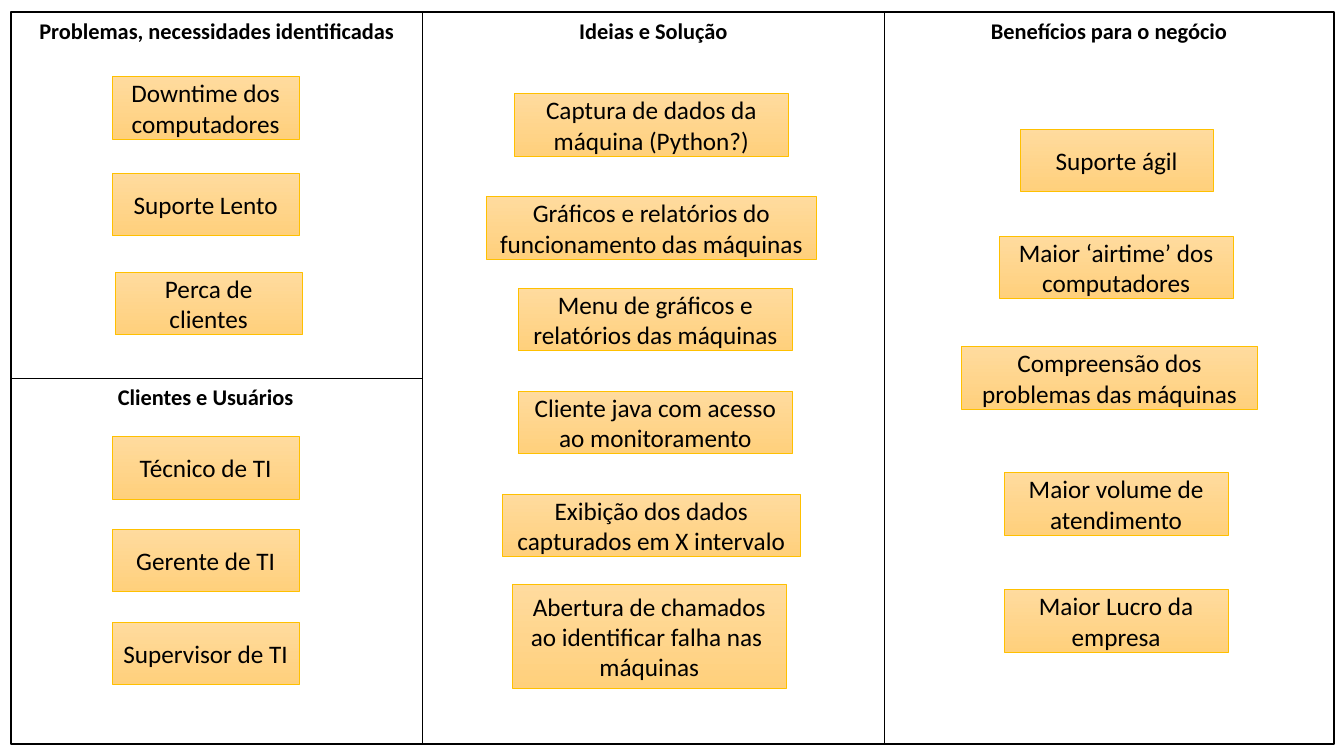
from lxml import etree
from pptx import Presentation
from pptx.dml.color import RGBColor
from pptx.enum import shapes, text
from pptx.oxml import ns
from pptx.util import Inches, Pt

COLOURS = {"ink": "000000", "paper": "FFFFFF", "note_top": "FFDB9E",
           "note_bottom": "FFD07C", "note_edge": "FFC000"}
FONT = "Calibri"
HEADING_WIDTH, HEADING_HEIGHT = 4.08, 0.37
NOTE_HEIGHT = 0.62

# Canvas grid
LEFT, TOP, RIGHT, BOTTOM = 0.11, 0.12, 13.23, 7.38
IDEAS_X, BENEFITS_X, CLIENTS_Y = 4.19, 8.77, 3.75


def colour(name):
    return RGBColor.from_string(COLOURS[name])


def write(frame, wording, size, bold=False):
    frame.word_wrap = True
    frame.text = wording
    for paragraph in frame.paragraphs:
        paragraph.alignment = text.PP_ALIGN.CENTER
        font = paragraph.font
        font.name, font.size, font.bold = FONT, Pt(size), bold
        font.color.rgb = colour("ink")


def add_rectangle(slide, left, top, width, height, edge, edge_width):
    rectangle = slide.shapes.add_shape(
        shapes.MSO_SHAPE.RECTANGLE, *map(Inches, (left, top, width, height)))
    rectangle.shadow.inherit = False
    rectangle.line.color.rgb = colour(edge)
    rectangle.line.width = Pt(edge_width)
    return rectangle


def add_divider(slide, *ends):
    divider = slide.shapes.add_connector(
        shapes.MSO_CONNECTOR.STRAIGHT, *map(Inches, ends))
    divider.line.color.rgb = colour("ink")
    divider.line.width = Pt(0.5)
    etree.SubElement(divider._element.spPr, ns.qn("a:effectLst"))


def add_frame(slide, left, top, right, bottom):
    border = add_rectangle(slide, left, top, right - left, bottom - top, "ink", 1)
    border.fill.solid()
    border.fill.fore_color.rgb = colour("paper")
    for x in (IDEAS_X, BENEFITS_X):
        add_divider(slide, x, top, x, bottom)
    add_divider(slide, left, CLIENTS_Y, IDEAS_X, CLIENTS_Y)


def add_note(slide, wording, left, top, width, height=NOTE_HEIGHT):
    note = add_rectangle(slide, left, top, width, height, "note_edge", 0.5)
    note.fill.gradient()
    note.fill.gradient_angle = 270
    for stop, name in zip(note.fill.gradient_stops, ("note_top", "note_bottom")):
        stop.color.rgb = colour(name)
    note.text_frame.vertical_anchor = text.MSO_ANCHOR.MIDDLE
    write(note.text_frame, wording, 18)


def add_panel(slide, left, top, width, title, notes, title_shift=0):
    """Heading across the panel top; notes are offset from its corner."""
    title_left = left + (width - HEADING_WIDTH) / 2 + title_shift
    heading = slide.shapes.add_textbox(
        *map(Inches, (title_left, top, HEADING_WIDTH, HEADING_HEIGHT)))
    write(heading.text_frame, title, 16, bold=True)
    heading.text_frame.auto_size = text.MSO_AUTO_SIZE.SHAPE_TO_FIT_TEXT
    for wording, x, y, *size in notes:
        add_note(slide, wording, left + x, top + y, *size)


# Notes: wording, x, y, width and, where taller, height
PROBLEMS = [
    ("Downtime dos computadores", 1, 0.64, 1.86),
    ("Suporte Lento", 1, 1.6, 1.86),
    ("Perca de clientes", 1.03, 2.58, 1.86),
]
CLIENTS = [
    (role, 1, 0.58 + 0.92 * row, 1.86)
    for row, role in enumerate(("Técnico de TI", "Gerente de TI", "Supervisor de TI"))
]
IDEAS = [
    ("Captura de dados da máquina (Python?)", 0.91, 0.81, 2.72),
    ("Gráficos e relatórios do funcionamento das máquinas", 0.63, 1.83, 3.28),
    ("Menu de gráficos e relatórios das máquinas", 0.95, 2.74, 2.72),
    ("Cliente java com acesso ao monitoramento", 0.95, 3.76, 2.72),
    ("Exibição dos dados capturados em X intervalo", 0.79, 4.78, 2.96),
    ("Abertura de chamados ao identificar falha nas \nmáquinas", 0.89, 5.68, 2.72, 1.03),
]
BENEFITS = [
    ("Suporte ágil", 1.35, 1.16, 1.91),
    ("Maior ‘airtime’ dos computadores", 1.14, 2.22, 2.32),
    ("Compreensão dos problemas das máquinas", 0.77, 3.32, 2.93),
    ("Maior volume de atendimento", 1.19, 4.57, 2.22),
    ("Maior Lucro da empresa", 1.19, 5.73, 2.22),
]

deck = Presentation()
deck.slide_width, deck.slide_height = Inches(13.33), Inches(7.5)
canvas = deck.slides.add_slide(deck.slide_layouts[6])

add_frame(canvas, LEFT, TOP, RIGHT, BOTTOM)
add_panel(canvas, LEFT, TOP, IDEAS_X - LEFT,
          "Problemas, necessidades identificadas", PROBLEMS)
add_panel(canvas, LEFT, CLIENTS_Y, IDEAS_X - LEFT,
          "Clientes e Usuários", CLIENTS, title_shift=-0.11)
add_panel(canvas, IDEAS_X, TOP, BENEFITS_X - IDEAS_X, "Ideias e Solução", IDEAS)
add_panel(canvas, BENEFITS_X, TOP, RIGHT - BENEFITS_X,
          "Benefícios para o negócio", BENEFITS)

deck.save("out.pptx")
